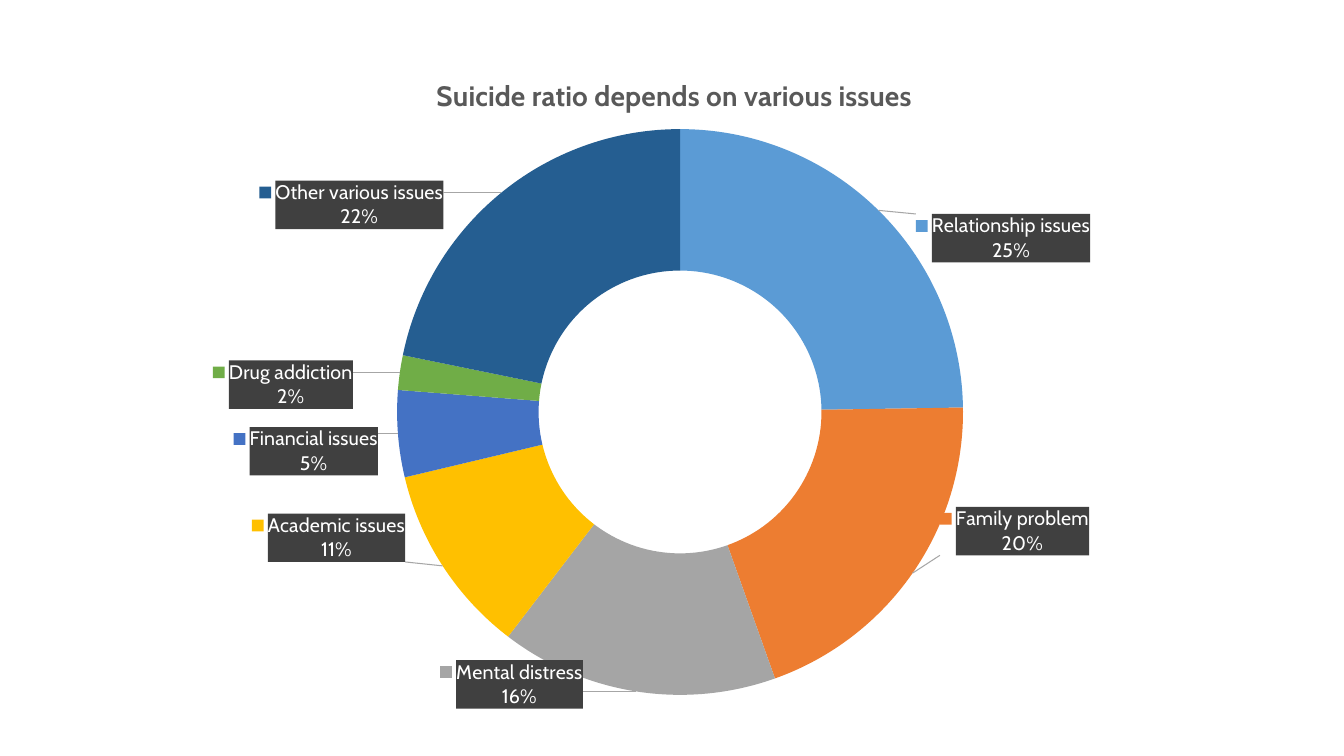
import copy
import math

import pptx
import pptx.chart.data
import pptx.dml.color
import pptx.enum.chart
import pptx.oxml
import pptx.oxml.ns
import pptx.util

RGBColor = pptx.dml.color.RGBColor
TITLE_GREY = RGBColor(0x59, 0x59, 0x59)
LABEL_WHITE = RGBColor(0xFF, 0xFF, 0xFF)
LABEL_FILL = RGBColor(0x40, 0x40, 0x40)
LEADER_GREY = RGBColor(0xA6, 0xA6, 0xA6)
FONT = "Cabin"
TITLE = "Suicide ratio depends on various issues"

# Issue, percentage, slice colour, label centre as shares of the chart's size
ISSUES = [
    ("Relationship issues", 25, RGBColor(0x5B, 0x9B, 0xD5), (0.79, 0.29)),
    ("Family problem", 20, RGBColor(0xED, 0x7D, 0x31), (0.80, 0.73)),
    ("Mental distress", 16, RGBColor(0xA5, 0xA5, 0xA5), (0.36, 0.96)),
    ("Academic issues", 11, RGBColor(0xFF, 0xC0, 0x00), (0.20, 0.74)),
    ("Financial issues", 5, RGBColor(0x44, 0x72, 0xC4), (0.18, 0.61)),
    ("Drug addiction", 2, RGBColor(0x70, 0xAD, 0x47), (0.16, 0.51)),
    ("Other various issues", 22, RGBColor(0x25, 0x5E, 0x91), (0.22, 0.24)),
]

SLIDE_WIDTH, SLIDE_HEIGHT = 13.33, 7.5
CHART_LEFT, CHART_TOP, CHART_WIDTH, CHART_HEIGHT = 0.99, 0.44, 11.34, 6.62
# Shares of the chart's size
RING_LEFT, RING_TOP, RING_WIDTH, RING_HEIGHT = 0.26, 0.126, 0.495, 0.85
TITLE_LEFT, TITLE_TOP = 0.29, 0.04
LABEL_RADIUS = 0.75  # middle of the ring, as a share of its radius


def chart_xml(tag, content):
    return pptx.oxml.parse_xml(
        f'<c:{tag} {pptx.oxml.ns.nsdecls("c", "a")}>{content}</c:{tag}>')


def manual_layout(**settings):
    content = "".join(f'<c:{key} val="{value}"/>' for key, value in settings.items())
    return chart_xml("layout", f"<c:manualLayout>{content}</c:manualLayout>")


def set_layout(parent, layout, position):
    for old in parent.xpath("./c:layout"):
        parent.remove(old)
    parent.insert(position, layout)


def style_font(font, size, color, bold=False):
    font.name, font.size, font.bold = FONT, pptx.util.Pt(size), bold
    font.color.rgb = color


def label_offsets():
    """Yield each label's move away from the middle of its slice."""
    total = sum(issue[1] for issue in ISSUES)
    passed = 0
    for _, value, _, (x, y) in ISSUES:
        angle = 2 * math.pi * (passed + value / 2) / total
        passed += value
        slice_x = RING_LEFT + RING_WIDTH / 2 * (1 + LABEL_RADIUS * math.sin(angle))
        slice_y = RING_TOP + RING_HEIGHT / 2 * (1 - LABEL_RADIUS * math.cos(angle))
        yield round(x - slice_x, 4), round(y - slice_y, 4)


def add_labels(series):
    labels = series.data_labels
    style_font(labels.font, 14, LABEL_WHITE)
    labels.show_value = False
    labels.show_percentage = labels.show_category_name = labels.show_legend_key = True

    group = labels._element
    group.xpath("./c:txPr/a:bodyPr")[0].set("wrap", "none")
    group.xpath("./c:txPr")[0].addprevious(chart_xml(
        "spPr", f'<a:solidFill><a:srgbClr val="{LABEL_FILL}"/></a:solidFill>'))
    group.xpath("./c:showBubbleSize")[0].addnext(chart_xml("separator", "\n"))
    shared = [part for part in group if not part.tag.endswith("showLeaderLines")]

    for index, (x, y) in enumerate(label_offsets()):
        label = chart_xml("dLbl", f'<c:idx val="{index}"/>')
        label.append(manual_layout(x=x, y=y))
        label.extend(copy.deepcopy(shared))
        group.insert(index, label)

    for old in group.xpath("./c:showLeaderLines"):
        group.remove(old)
    group.append(pptx.oxml.parse_xml(
        f'<c:showLeaderLines {pptx.oxml.ns.nsdecls("c")} val="1"/>'))
    group.append(chart_xml(
        "leaderLines", '<c:spPr><a:ln w="9525"><a:solidFill>'
        f'<a:srgbClr val="{LEADER_GREY}"/></a:solidFill></a:ln></c:spPr>'))


def add_issue_chart(slide):
    data = pptx.chart.data.CategoryChartData()
    data.categories = [issue[0] for issue in ISSUES]
    data.add_series(TITLE, [issue[1] for issue in ISSUES])
    box = [pptx.util.Inches(n)
           for n in (CHART_LEFT, CHART_TOP, CHART_WIDTH, CHART_HEIGHT)]
    chart = slide.shapes.add_chart(
        pptx.enum.chart.XL_CHART_TYPE.DOUGHNUT, *box, data).chart
    chart.has_legend = False
    chart.font.name, chart.font.size = FONT, pptx.util.Pt(14)

    chart.has_title = True
    title = chart.chart_title
    title.text_frame.text = TITLE
    style_font(title.text_frame.paragraphs[0].font, 20, TITLE_GREY, bold=True)
    set_layout(title._element, manual_layout(
        xMode="edge", yMode="edge", x=TITLE_LEFT, y=TITLE_TOP), 1)

    plot = chart.plots[0]
    plot.vary_by_categories = True
    plot._element.xpath("./c:holeSize")[0].set("val", "70")
    set_layout(plot._element.getparent(), manual_layout(
        layoutTarget="inner", xMode="edge", yMode="edge",
        x=RING_LEFT, y=RING_TOP, w=RING_WIDTH, h=RING_HEIGHT), 0)

    series = plot.series[0]
    for index, issue in enumerate(ISSUES):
        slice_format = series.points[index].format
        slice_format.fill.solid()
        slice_format.fill.fore_color.rgb = issue[2]
        slice_format.line.fill.background()
    add_labels(series)


def main():
    deck = pptx.Presentation()
    deck.slide_width = pptx.util.Inches(SLIDE_WIDTH)
    deck.slide_height = pptx.util.Inches(SLIDE_HEIGHT)
    add_issue_chart(deck.slides.add_slide(deck.slide_layouts[6]))
    deck.save("out.pptx")


if __name__ == "__main__":
    main()
